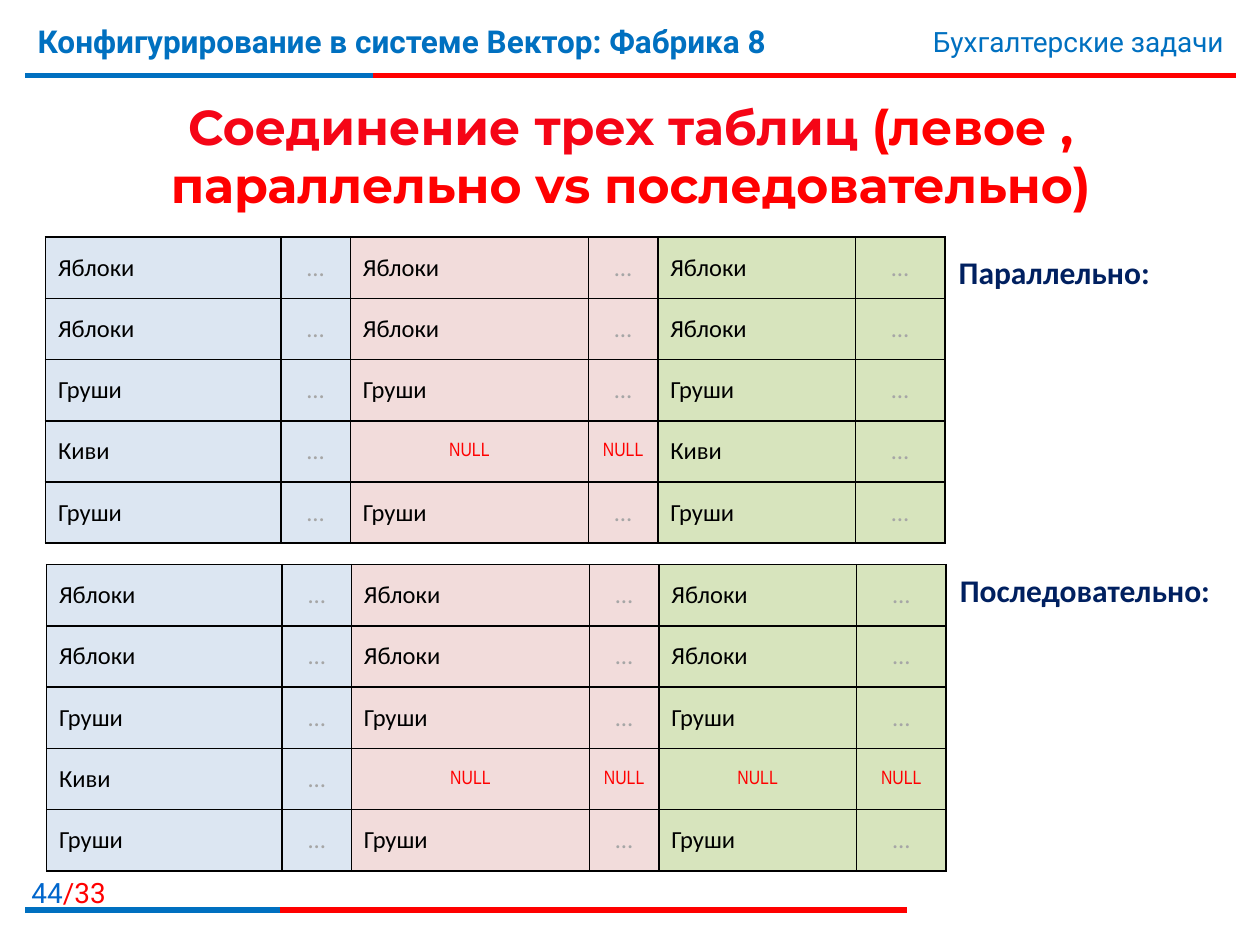
from dataclasses import dataclass

from lxml.etree import SubElement
from pptx import Presentation
from pptx.dml.color import RGBColor
from pptx.enum.shapes import MSO_CONNECTOR
from pptx.enum.text import MSO_ANCHOR, PP_ALIGN
from pptx.oxml import parse_xml
from pptx.oxml.ns import nsdecls, qn
from pptx.util import Pt


@dataclass(frozen=True)
class Theme:
    blue: str = "0070C0"
    number_blue: str = "0066CC"
    red: str = "FF0000"
    title_top: str = "F50516"
    title_bottom: str = "C00000"
    navy: str = "002060"
    black: str = "000000"
    white: str = "FFFFFF"
    grey: str = "A6A6A6"
    sources: tuple = ("DCE6F2", "F2DCDB", "D7E4BD")
    main_font: str = "Roboto"
    title_font: str = "Montserrat"
    table_font: str = "Calibri"
    null_font: str = "Arial Narrow"
    title_size: int = 28
    heading_size: int = 18
    small_size: int = 16
    cell_size: int = 14
    null_size: int = 11


THEME = Theme()
COLUMN_WIDTHS = (134.6, 39.6, 136.1, 39.6, 113, 51.1)
ROW_HEIGHT = 35
NULL = "NULL"
PARALLEL_ROWS = (
    ("Яблоки", "Яблоки", "Яблоки"),
    ("Яблоки", "Яблоки", "Яблоки"),
    ("Груши", "Груши", "Груши"),
    ("Киви", NULL, "Киви"),
    ("Груши", "Груши", "Груши"),
)
SEQUENTIAL_ROWS = PARALLEL_ROWS[:3] + (("Киви", NULL, NULL),) + PARALLEL_ROWS[4:]


def write(paragraph, text, *, font, size, color, bold=False, align=None):
    run = paragraph.add_run()
    run.text = text
    run.font.name = font
    run.font.size = Pt(size)
    run.font.bold = bold
    run.font.color.rgb = RGBColor.from_string(color)
    if align is not None:
        paragraph.alignment = align
    return run


def add_text_area(slide, left, top, width, height):
    """Add a wrapping text box and return its first paragraph."""
    area = slide.shapes.add_textbox(Pt(left), Pt(top), Pt(width), Pt(height))
    area.text_frame.word_wrap = True
    return area.text_frame.paragraphs[0]


def add_rule(slide, left, top, width, accent_width):
    """Draw a red rule whose first part is blue."""
    for length, color in ((width, THEME.red), (accent_width, THEME.blue)):
        rule = slide.shapes.add_connector(
            MSO_CONNECTOR.STRAIGHT, Pt(left), Pt(top), Pt(left + length), Pt(top))
        rule.line.color.rgb = RGBColor.from_string(color)
        rule.line.width = Pt(3)
        SubElement(rule._element.spPr, qn("a:effectLst"))


def add_header(slide, left, top, width):
    add_rule(slide, left, top + 34, width, 199)
    write(add_text_area(slide, left, top, 533, 34),
          "Конфигурирование в системе Вектор: Фабрика 8",
          font=THEME.main_font, size=THEME.heading_size, color=THEME.blue, bold=True)
    write(add_text_area(slide, left + width - 278, top + 1.5, 278, 27),
          "Бухгалтерские задачи", font=THEME.main_font, size=THEME.small_size,
          color=THEME.blue, align=PP_ALIGN.RIGHT)


def add_footer(slide, left, top, width):
    add_rule(slide, left, top + 23, width, 145.5)
    number = add_text_area(slide, left - 14.4, top, 67.5, 23)
    for text, color in (("44", THEME.number_blue), ("/33", THEME.red)):
        write(number, text, font=THEME.main_font, size=THEME.small_size,
              color=color, align=PP_ALIGN.RIGHT)


def add_title(slide, left, top, width, height):
    title = slide.shapes.title
    title.left, title.top, title.width, title.height = map(Pt, (left, top, width, height))
    frame = title.text_frame
    frame.word_wrap = True
    frame.vertical_anchor = MSO_ANCHOR.MIDDLE
    style = dict(font=THEME.title_font, size=THEME.title_size, bold=True,
                 align=PP_ALIGN.CENTER)
    paragraph = frame.paragraphs[0]
    subject = write(paragraph, "Соединение трех таблиц ", color=THEME.title_top, **style)
    kind = write(paragraph, "(левое , параллельно vs последовательно)",
                 color=THEME.red, **style)

    fill = subject.font.fill
    fill.gradient()
    fill.gradient_angle = 270
    stops = ((0.55, THEME.title_top), (0.86, THEME.title_bottom))
    for stop, (position, color) in zip(fill.gradient_stops, stops):
        stop.position = position
        stop.color.rgb = RGBColor.from_string(color)
    for run in (subject, kind):
        run._r.get_or_add_rPr().insert(0, parse_xml(
            f'<a:ln {nsdecls("a")} w="{Pt(0.75)}"><a:solidFill>'
            f'<a:srgbClr val="{THEME.white}"/></a:solidFill></a:ln>'))


def add_borders(cell):
    properties = cell._tc.get_or_add_tcPr()
    for index, side in enumerate(("lnL", "lnR", "lnT", "lnB")):
        properties.insert(index, parse_xml(
            f'<a:{side} {nsdecls("a")} w="{Pt(1)}"><a:solidFill>'
            f'<a:srgbClr val="{THEME.black}"/></a:solidFill></a:{side}>'))


def fill_cell(cell, text, background):
    cell.vertical_anchor = MSO_ANCHOR.MIDDLE
    cell.fill.solid()
    cell.fill.fore_color.rgb = RGBColor.from_string(background)
    add_borders(cell)
    style = dict(font=THEME.table_font, size=THEME.cell_size, color=THEME.black)
    if text == NULL:
        style = dict(font=THEME.null_font, size=THEME.null_size, color=THEME.red,
                     align=PP_ALIGN.CENTER)
    elif text == "…":
        style.update(color=THEME.grey, align=PP_ALIGN.CENTER)
    write(cell.text_frame.paragraphs[0], text, **style)


def add_join(slide, left, top, caption, caption_drop, rows):
    """Place one joined table with its caption on the right."""
    width = sum(COLUMN_WIDTHS)
    table = slide.shapes.add_table(
        len(rows), len(COLUMN_WIDTHS), Pt(left), Pt(top),
        Pt(width), Pt(ROW_HEIGHT * len(rows))).table
    table.first_row = table.horz_banding = False
    for column, column_width in zip(table.columns, COLUMN_WIDTHS):
        column.width = Pt(column_width)
    for row_index, names in enumerate(rows):
        table.rows[row_index].height = Pt(ROW_HEIGHT)
        for source, (name, background) in enumerate(zip(names, THEME.sources)):
            details = NULL if name == NULL else "…"
            for offset, text in enumerate((name, details)):
                fill_cell(table.cell(row_index, 2 * source + offset), text, background)
    write(add_text_area(slide, left + width + 0.8, top + caption_drop, 164, 29),
          caption, font=THEME.table_font, size=THEME.heading_size,
          color=THEME.navy, bold=True)


def main():
    presentation = Presentation()
    presentation.slide_width, presentation.slide_height = Pt(720), Pt(540)
    slide = presentation.slides.add_slide(presentation.slide_layouts[5])
    add_header(slide, 14.4, 9.2, 692)
    add_title(slide, 14.4, 47, 692, 83)
    add_join(slide, 26, 135.5, "Параллельно:", 5.6, PARALLEL_ROWS)
    add_join(slide, 26.6, 322.7, "Последовательно:", 0, SEQUENTIAL_ROWS)
    add_footer(slide, 14.4, 497, 504)
    presentation.save("out.pptx")


if __name__ == "__main__":
    main()
